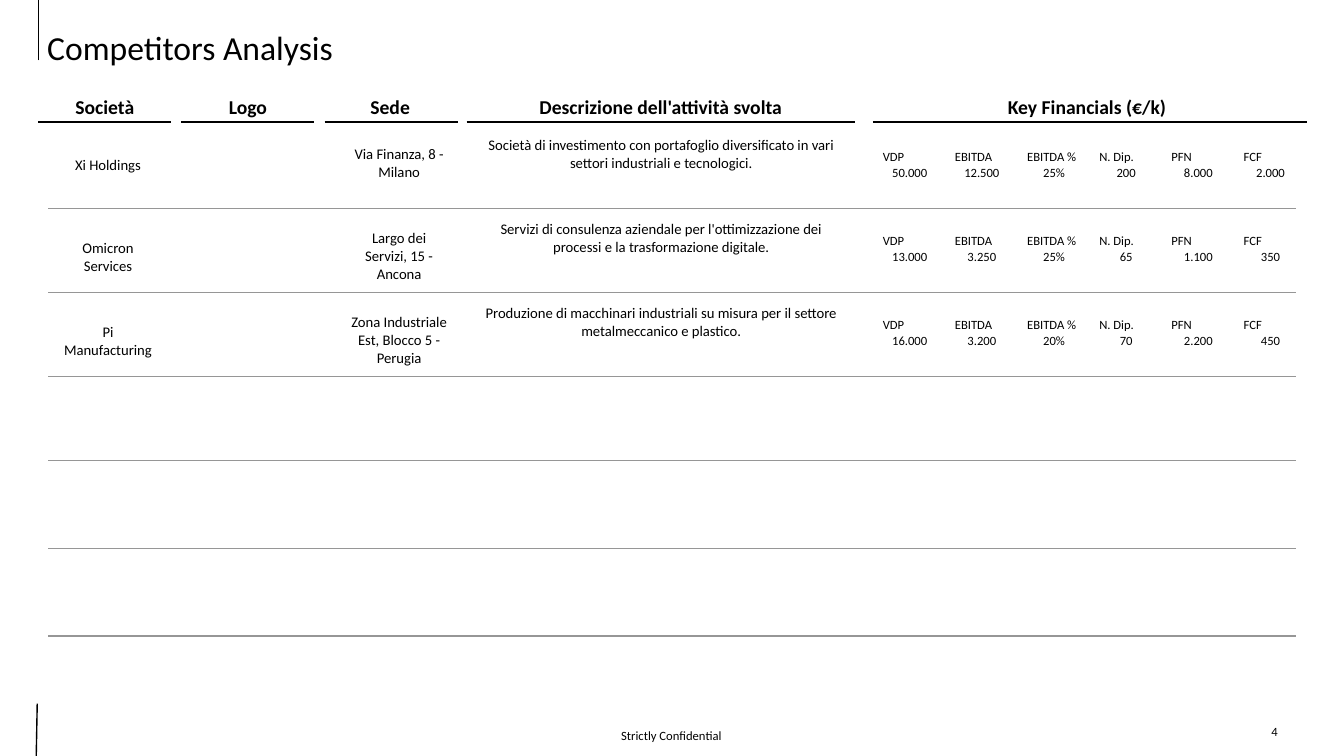
"""Build the competitors analysis slide."""
from lxml import etree
from pptx import Presentation
from pptx.dml import color
from pptx.enum import shapes, text
from pptx.oxml import ns
from pptx.util import Pt

CENTER, LEFT = text.PP_ALIGN.CENTER, text.PP_ALIGN.LEFT
TOP, MIDDLE = text.MSO_ANCHOR.TOP, text.MSO_ANCHOR.MIDDLE

HEADERS = [
    ("Società", 27.4, 122.4, 74.9),
    ("Logo", 129.6, 224.6, 177.1),
    ("Sede", 231.8, 326.9, 278.7),
    ("Descrizione dell'attività svolta", 333.4, 610.6, 472),
    ("Key Financials (€/k)", 623.5, 933.8, 776.5),
]
METRICS = ["VDP", "EBITDA", "EBITDA %", "N. Dip.", "PFN", "FCF"]
COMPANIES = [
    ("Xi Holdings", "Via Finanza, 8 - Milano",
     "Società di investimento con portafoglio diversificato in vari settori "
     "industriali e tecnologici.",
     ["50.000", "12.500", "25%", "200", "8.000", "2.000"]),
    ("Omicron Services", "Largo dei Servizi, 15 - Ancona",
     "Servizi di consulenza aziendale per l'ottimizzazione dei processi e la "
     "trasformazione digitale.",
     ["13.000", "3.250", "25%", "65", "1.100", "350"]),
    ("Pi Manufacturing", "Zona Industriale Est, Blocco 5 - Perugia",
     "Produzione di macchinari industriali su misura per il settore "
     "metalmeccanico e plastico.",
     ["16.000", "3.200", "20%", "70", "2.200", "450"]),
]
ROW_PITCH = 60
METRIC_X, METRIC_PITCH = 623.5, 51.55
RULES = [149, 209, 268.8, 329, 391.7, 454.3]


def rgb(value):
    """Turn a hex string into a colour."""
    return color.RGBColor.from_string(value)


def write(p, content, size=10.5, bold=False, align=CENTER, font="Calibri", ink="000000"):
    """Put one formatted run into a paragraph."""
    p.alignment = align
    r = p.add_run()
    r.text = content
    r.font.name, r.font.size, r.font.bold = font, Pt(size), bold
    r.font.color.rgb = rgb(ink)


class Deck:
    """Hold the style and the current slide."""

    ink, grey = "000000", "969696"

    def __init__(self, prs):
        """Add a blank slide."""
        self.s = prs.slides.add_slide(prs.slide_layouts[6])

    def label(self, x, y, w, h, *lines, anchor=TOP, aligns=(CENTER,), **fmt):
        """Add a text box with one paragraph per line."""
        tf = self.s.shapes.add_textbox(Pt(x), Pt(y), Pt(w), Pt(h)).text_frame
        tf.word_wrap, tf.vertical_anchor = True, anchor
        for i, (line, align) in enumerate(zip(lines, aligns)):
            p = tf.add_paragraph() if i else tf.paragraphs[0]
            write(p, line, align=align, ink=self.ink, **fmt)

    def line(self, x1, y1, x2, y2, ink=ink, width=1):
        """Add a straight line without shadow."""
        sp = self.s.shapes.add_connector(
            shapes.MSO_CONNECTOR.STRAIGHT, Pt(x1), Pt(y1), Pt(x2), Pt(y2))
        sp.line.color.rgb, sp.line.width = rgb(ink), Pt(width)
        etree.SubElement(sp._element.spPr, ns.qn("a:effectLst"))

    def header(self, title, x1, x2, center):
        """Add a column title over its heavy rule."""
        w = x2 - x1
        self.label(center - w / 2, 64.1, w, 23.8, title, size=14, bold=True)
        self.line(x1, 87.1, x2, 87.1, width=2)

    def company(self, y, name, seat, activity, values):
        """Add one company row."""
        self.label(34.6, y + 13.7, 85, 20.2, name)
        self.label(242.6, y + 6.5, 85, 32.4, seat)
        self.label(333.4, y, 277.9, 20.2, activity)
        for i, (metric, value) in enumerate(zip(METRICS, values)):
            self.label(METRIC_X + i * METRIC_PITCH, y + 9.4, 52.6, 28.8,
                       metric, value, size=9, aligns=(LEFT, CENTER))


def main():
    """Compose and save the slide."""
    prs = Presentation()
    prs.slide_width, prs.slide_height = Pt(960), Pt(540)
    deck = Deck(prs)
    deck.label(341.3, 511.2, 276.5, 28.8, "Strictly Confidential", size=9, anchor=MIDDLE)
    deck.label(887, 513.4, 46.8, 28.8, "4", size=9)
    deck.line(25.9, 540, 26.6, 502.6)
    deck.line(27.4, 43.2, 27.4, 0)
    deck.label(26.6, 15.8, 838.8, 28.8, "Competitors Analysis", size=24, aligns=(LEFT,))
    for header in HEADERS:
        deck.header(*header)
    for y in RULES:
        deck.line(34.6, y, 925.9, y, deck.grey)
    for i, company in enumerate(COMPANIES):
        deck.company(93.7 + i * ROW_PITCH, *company)
    prs.save("out.pptx")


if __name__ == "__main__":
    main()
